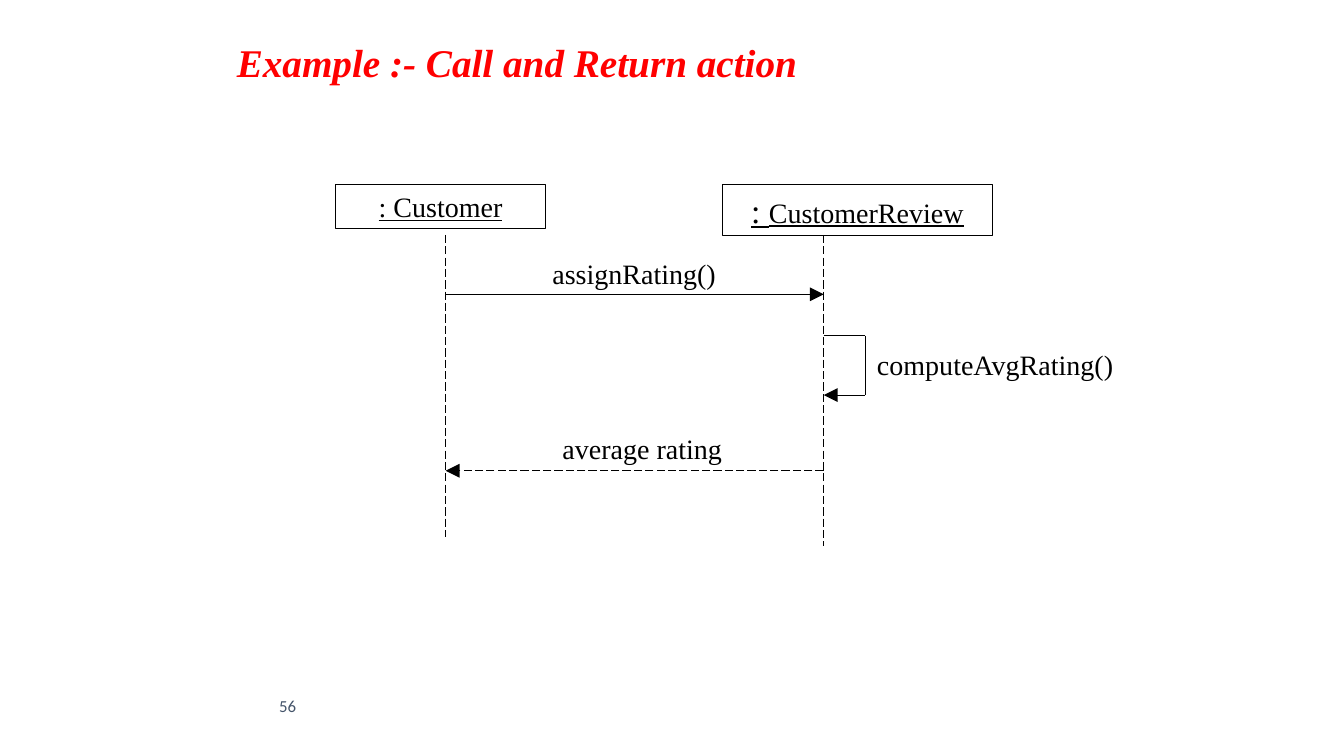
from dataclasses import dataclass

from lxml import etree
from pptx import Presentation
from pptx.dml.color import RGBColor
from pptx.enum.dml import MSO_LINE
from pptx.enum.shapes import MSO_CONNECTOR, MSO_SHAPE
from pptx.enum.text import MSO_ANCHOR, MSO_AUTO_SIZE, PP_ALIGN
from pptx.oxml.ns import qn
from pptx.util import Inches, Pt

RECT = MSO_SHAPE.RECTANGLE
STRAIGHT = MSO_CONNECTOR.STRAIGHT
DASH = MSO_LINE.LONG_DASH
LEFT, CENTER = PP_ALIGN.LEFT, PP_ALIGN.CENTER
TOP, MIDDLE = MSO_ANCHOR.TOP, MSO_ANCHOR.MIDDLE
GROW, FIXED = MSO_AUTO_SIZE.SHAPE_TO_FIT_TEXT, MSO_AUTO_SIZE.NONE

SERIF = "Times New Roman"
BLACK, RED, SLATE = "000000", "FF0000", "44546A"

# Lifeline positions and the right edge of the self call
CLIENT, REVIEW, LOOP = 4.42, 8.17, 8.58
START = 2.33
CALL, ENTER, LEAVE, REPLY = 2.92, 3.33, 3.92, 4.67


@dataclass
class Label:
    text: str
    left: float
    top: float
    width: float
    height: float = 0.43
    size: int = 20
    color: str = BLACK
    font: str = SERIF
    align: PP_ALIGN = CENTER
    anchor: MSO_ANCHOR = TOP
    fit: MSO_AUTO_SIZE = GROW
    strong: bool = False
    boxed: bool = False
    prefix: str = ""


@dataclass
class Line:
    x1: float
    y1: float
    x2: float
    y2: float
    dashed: bool = False
    arrow: bool = False


LINES = [
    Line(CLIENT, START, CLIENT, 5.33, dashed=True),
    Line(REVIEW, START, REVIEW, 5.42, dashed=True),
    Line(CLIENT, CALL, REVIEW, CALL, arrow=True),
    Line(REVIEW, ENTER, LOOP, ENTER),
    Line(LOOP, ENTER, LOOP, LEAVE),
    Line(LOOP, LEAVE, REVIEW, LEAVE, arrow=True),
    Line(REVIEW, REPLY, CLIENT, REPLY, dashed=True, arrow=True),
]

LABELS = [
    Label("56", 2.67, 6.75, 4.33, 0.5, size=12, color=SLATE, font="Calibri",
          align=LEFT, anchor=MIDDLE, fit=FIXED),
    Label(": Customer", 3.33, 1.83, 2.08, 0.44, boxed=True),
    Label("CustomerReview", 7.17, 1.83, 2.67, 0.51, boxed=True, prefix=": "),
    Label("assignRating()", 4.75, 2.5, 3.08),
    Label("computeAvgRating()", 8.58, 3.4, 2.58),
    Label("average rating", 4.83, 4.23, 3.08),
    Label("Example :- Call and Return action", 2.25, 0.33, 7.58, 0.57,
          size=28, color=RED, align=LEFT, strong=True),
]


def rgb(color: str) -> RGBColor:
    return RGBColor.from_string(color)


def add_line(shapes, line: Line) -> None:
    ends = (Inches(n) for n in (line.x1, line.y1, line.x2, line.y2))
    wire = shapes.add_connector(STRAIGHT, *ends)
    wire.line.color.rgb = rgb(BLACK)
    wire.line.width = Pt(0.75)
    if line.dashed:
        wire.line.dash_style = DASH
    props = wire._element.spPr
    if line.arrow:
        etree.SubElement(props.find(qn("a:ln")), qn("a:tailEnd"),
                         type="triangle", w="lg", len="lg")
    etree.SubElement(props, qn("a:effectLst"))


def add_label(shapes, label: Label) -> None:
    area = [Inches(n) for n in (label.left, label.top, label.width, label.height)]
    if label.boxed:
        shape = shapes.add_shape(RECT, *area)
        shape.shadow.inherit = False
        shape.fill.background()
        shape.line.color.rgb = rgb(BLACK)
        shape.line.width = Pt(0.75)
    else:
        shape = shapes.add_textbox(*area)
    frame = shape.text_frame
    frame.word_wrap = True
    frame.auto_size = label.fit
    frame.vertical_anchor = label.anchor

    para = frame.paragraphs[0]
    para.alignment = label.align
    if label.prefix:
        lead = para.add_run()
        lead.text = label.prefix
        lead.font.size = Pt(24)
    para.add_run().text = label.text
    font = para.font
    font.name = label.font
    font.size = Pt(label.size)
    font.color.rgb = rgb(label.color)
    font.bold = font.italic = label.strong
    font.underline = label.boxed


def main() -> None:
    deck = Presentation()
    deck.slide_width, deck.slide_height = Inches(13.33), Inches(7.5)
    shapes = deck.slides.add_slide(deck.slide_layouts[6]).shapes
    for line in LINES:
        add_line(shapes, line)
    for label in LABELS:
        add_label(shapes, label)
    deck.save("out.pptx")


if __name__ == "__main__":
    main()
